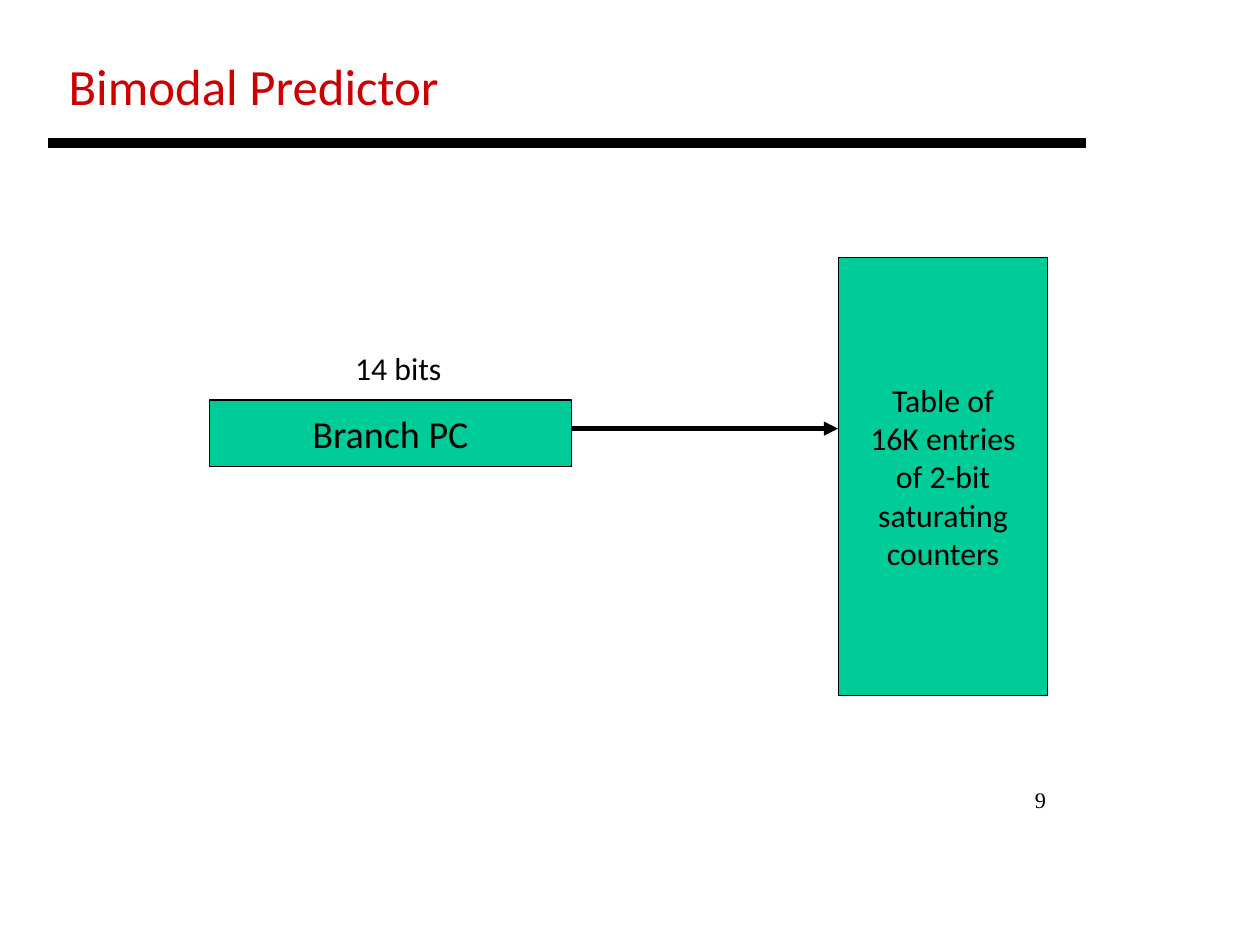
from dataclasses import dataclass

from lxml import etree
from pptx import Presentation
from pptx import util as u
from pptx.dml.color import RGBColor
from pptx.enum import shapes, text
from pptx.oxml import ns

# Content: boxes are left, top, width, height in grid cells
TITLE = ("Bimodal Predictor", (6, 5.1, 42, 7.6))
BIT_COUNT = ("14 bits", (36.1, 36, 11.5, 5.2))
PAGE_NUMBER = ("9", (86, 82, 25, 6))
BRANCH_PC = (["Branch PC"], (22, 42, 38, 7))
COUNTER_TABLE = (
    ["Table of", "16K entries", "of 2-bit", "saturating", "counters"],
    (88, 27, 22, 46),
)
RULE = (5, 114, 15)  # start column, end column, row
LOOKUP_ROW = 45

CELLS_PER_INCH = 12
SLIDE_SIZE = (u.Cm(28), u.Cm(21))


@dataclass(frozen=True)
class Theme:
    ink: RGBColor = RGBColor(0, 0, 0)
    accent: RGBColor = RGBColor(0xCC, 0, 0)
    block: RGBColor = RGBColor(0, 0xCC, 0x99)
    font: str = "Calibri"
    number_font: str = "Times New Roman"
    title_size: int = 32
    large: int = 24
    body: int = 20
    small: int = 14
    outline: float = 0.75
    arrow: int = 3
    rule: int = 6


theme = Theme()


def grid(*cells):
    return [u.Inches(cell / CELLS_PER_INCH) for cell in cells]


def write(frame, lines, size, align, color=theme.ink, font=theme.font,
          anchor=text.MSO_ANCHOR.TOP):
    frame.word_wrap = False
    frame.auto_size = text.MSO_AUTO_SIZE.NONE
    frame.vertical_anchor = anchor
    for index, line in enumerate(lines):
        paragraph = frame.add_paragraph() if index else frame.paragraphs[0]
        paragraph.alignment = align
        run = paragraph.add_run()
        run.text = line
        run.font.name = font
        run.font.size = u.Pt(size)
        run.font.color.rgb = color


def add_label(slide, content, size, align, font=theme.font):
    words, box = content
    label = slide.shapes.add_textbox(*grid(*box))
    write(label.text_frame, [words], size, align, font=font)


def add_block(slide, content, size):
    lines, box = content
    block = slide.shapes.add_shape(shapes.MSO_SHAPE.RECTANGLE, *grid(*box))
    block.shadow.inherit = False
    block.fill.solid()
    block.fill.fore_color.rgb = theme.block
    block.line.color.rgb = theme.ink
    block.line.width = u.Pt(theme.outline)
    write(block.text_frame, lines, size, text.PP_ALIGN.CENTER,
          anchor=text.MSO_ANCHOR.MIDDLE)


def add_line(slide, start, end, row, width, arrow=False):
    line = slide.shapes.add_connector(
        shapes.MSO_CONNECTOR.STRAIGHT, *grid(start, row, end, row))
    line.line.color.rgb = theme.ink
    line.line.width = u.Pt(width)
    if arrow:
        etree.SubElement(line.line._get_or_add_ln(), ns.qn("a:tailEnd"),
                         type="triangle")
    etree.SubElement(line._element.spPr, ns.qn("a:effectLst"))


def main():
    deck = Presentation()
    deck.slide_width, deck.slide_height = SLIDE_SIZE
    slide = deck.slides.add_slide(deck.slide_layouts.get_by_name("Title Only"))

    # Heading and its rule
    heading, box = TITLE
    title = slide.shapes.title
    title.left, title.top, title.width, title.height = grid(*box)
    write(title.text_frame, [heading], theme.title_size, text.PP_ALIGN.LEFT,
          theme.accent)
    title.text_frame.word_wrap = True
    add_line(slide, *RULE, theme.rule)

    # Branch address indexes the counter table
    add_block(slide, BRANCH_PC, theme.large)
    add_label(slide, BIT_COUNT, theme.body, text.PP_ALIGN.LEFT)
    add_block(slide, COUNTER_TABLE, theme.body)
    pc_left, _, pc_width, _ = BRANCH_PC[1]
    table_left = COUNTER_TABLE[1][0]
    add_line(slide, pc_left + pc_width, table_left, LOOKUP_ROW, theme.arrow,
             arrow=True)

    # Page number
    add_label(slide, PAGE_NUMBER, theme.small, text.PP_ALIGN.RIGHT,
              theme.number_font)
    deck.save("out.pptx")


if __name__ == "__main__":
    main()
